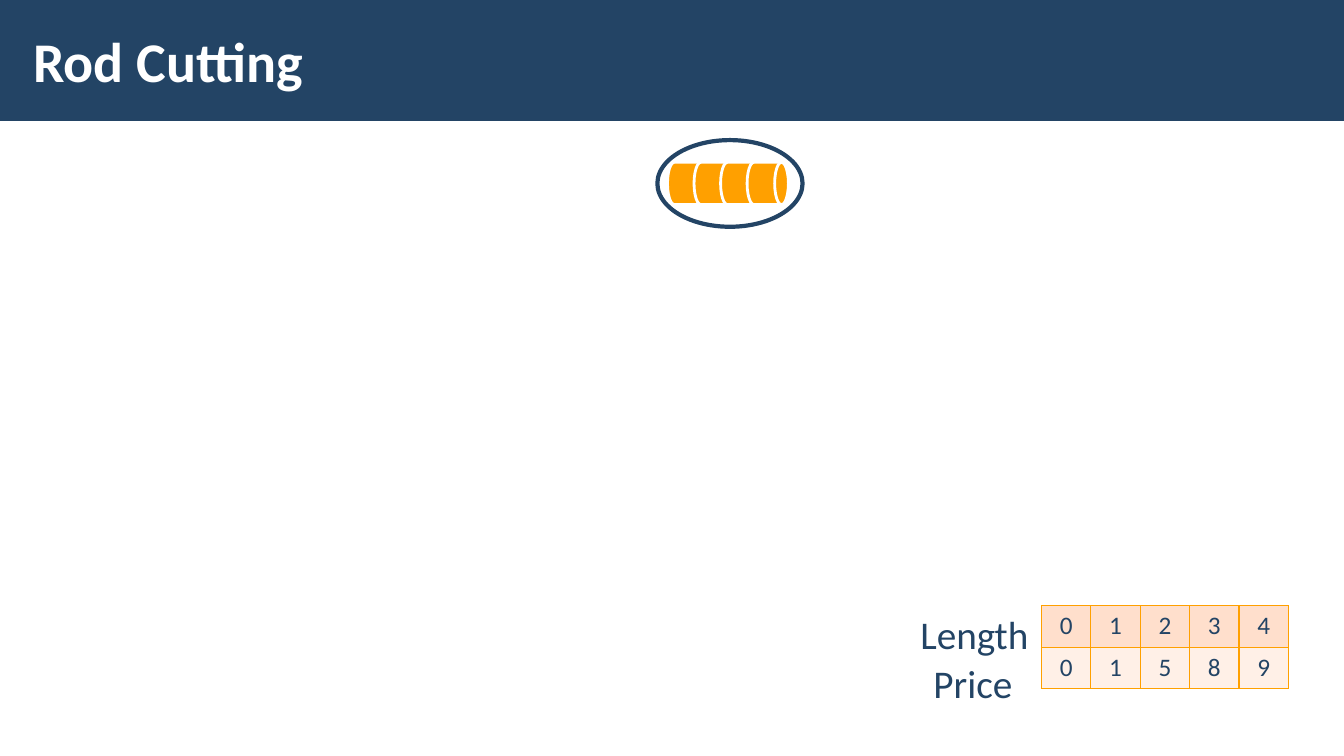
from dataclasses import dataclass

from lxml.etree import SubElement
from pptx import Presentation
from pptx.dml.color import RGBColor
from pptx.enum.shapes import MSO_SHAPE as Preset
from pptx.enum.text import MSO_ANCHOR as Anchor, PP_ALIGN as Align
from pptx.oxml.ns import qn
from pptx.shapes.autoshape import Shape
from pptx.slide import Slide
from pptx.table import _Cell as Cell
from pptx.text.text import _Paragraph as Paragraph
from pptx.util import Inches, Pt


@dataclass(frozen=True)
class Theme:
    font: str = "Calibri"
    navy: str = "234465"
    white: str = "FFFFFF"
    orange: str = "FFA000"
    length_fill: str = "FFDFCC"
    price_fill: str = "FFF0E7"
    title_size: int = 40
    label_size: int = 28
    cell_size: int = 18


@dataclass(frozen=True)
class Area:
    left: float
    top: float
    width: float
    height: float

    def lengths(self) -> tuple[Inches, ...]:
        return tuple(map(Inches, (self.left, self.top, self.width, self.height)))


@dataclass(frozen=True)
class TableRow:
    label: str
    label_area: Area
    values: tuple[int, ...]
    fill: str


THEME = Theme()
BANNER = Area(0, 0, 13.33, 1.2)
TITLE = Area(0.21, 0.11, 10.63, 0.97)
NODE = Area(6.52, 1.39, 1.44, 0.86)
ROD_LEFT, ROD_TOP = 6.62, 1.61
PIECE_WIDTH, PIECE_HEIGHT = 0.41, 0.42
PIECE_COUNT = 4
PIECE_STEP = 0.79 / (PIECE_COUNT - 1)
TABLE_LEFT, TABLE_TOP = 10.33, 6.01
COLUMN_WIDTH, ROW_HEIGHT = 0.49, 0.41
ROWS = (
    TableRow("Length", Area(9.03, 6.01, 1.28, 0.57), (0, 1, 2, 3, 4), THEME.length_fill),
    TableRow("Price", Area(9.16, 6.49, 0.99, 0.57), (0, 1, 5, 8, 9), THEME.price_fill),
)


def color(code: str) -> RGBColor:
    return RGBColor.from_string(code)


def add_span(para: Paragraph, text: str, size: int, code: str, bold: bool = False) -> None:
    span = para.add_run()
    span.text = text
    span.font.name = THEME.font
    span.font.size = Pt(size)
    span.font.bold = bold
    span.font.color.rgb = color(code)


def add_preset(slide: Slide, preset: Preset, area: Area, fill: str,
               line: str = "", line_width: float = 0) -> Shape:
    shape = slide.shapes.add_shape(preset, *area.lengths())
    shape.shadow.inherit = False
    shape.fill.solid()
    shape.fill.fore_color.rgb = color(fill)
    if line:
        shape.line.color.rgb = color(line)
        shape.line.width = Pt(line_width)
    else:
        shape.line.fill.background()
    return shape


def set_opacity(shape: Shape, percent: int) -> None:
    fill_color = shape.fill._xPr.find(qn("a:solidFill"))[0]
    SubElement(fill_color, qn("a:alpha"), val=str(percent * 1000))


def add_title(slide: Slide) -> None:
    add_preset(slide, Preset.RECTANGLE, BANNER, THEME.navy)
    frame = slide.shapes.add_textbox(*TITLE.lengths()).text_frame
    frame.word_wrap = True
    frame.vertical_anchor = Anchor.MIDDLE
    frame.margin_left = frame.margin_right = Inches(0.12)
    frame.margin_top = frame.margin_bottom = Inches(0.04)
    add_span(frame.paragraphs[0], "Rod Cutting", THEME.title_size, THEME.white, bold=True)


def add_rod(slide: Slide) -> None:
    """Draw the uncut rod as overlapping drums inside its tree node."""
    node = add_preset(slide, Preset.OVAL, NODE, THEME.white, THEME.navy, 3)
    set_opacity(node, 50)
    for index in range(PIECE_COUNT):
        piece = Area(ROD_LEFT + index * PIECE_STEP, ROD_TOP, PIECE_WIDTH, PIECE_HEIGHT)
        add_preset(slide, Preset.FLOWCHART_DIRECT_ACCESS_STORAGE, piece,
                   THEME.orange, THEME.white, 2)


def add_label(slide: Slide, text: str, area: Area) -> None:
    frame = slide.shapes.add_textbox(*area.lengths()).text_frame
    frame.word_wrap = False
    add_span(frame.paragraphs[0], text, THEME.label_size, THEME.navy)


def style_cell(cell: Cell, value: int, fill: str) -> None:
    para = cell.text_frame.paragraphs[0]
    para.alignment = Align.CENTER
    add_span(para, str(value), THEME.cell_size, THEME.navy)
    properties = cell._tc.get_or_add_tcPr()
    for side in ("a:lnL", "a:lnR", "a:lnT", "a:lnB"):
        border = SubElement(properties, qn(side), w=str(Pt(1)))
        SubElement(SubElement(border, qn("a:solidFill")), qn("a:srgbClr"), val=THEME.orange)
    cell.fill.solid()
    cell.fill.fore_color.rgb = color(fill)


def add_price_table(slide: Slide) -> None:
    column_count = len(ROWS[0].values)
    area = Area(TABLE_LEFT, TABLE_TOP, column_count * COLUMN_WIDTH, len(ROWS) * ROW_HEIGHT)
    table = slide.shapes.add_table(len(ROWS), column_count, *area.lengths()).table
    table.first_row = table.horz_banding = False
    for row_index, row in enumerate(ROWS):
        add_label(slide, row.label, row.label_area)
        for column_index, value in enumerate(row.values):
            style_cell(table.cell(row_index, column_index), value, row.fill)


def main() -> None:
    deck = Presentation()
    deck.slide_width, deck.slide_height = Inches(13.33), Inches(7.5)
    page = deck.slides.add_slide(deck.slide_layouts[6])
    add_title(page)
    add_rod(page)
    add_price_table(page)
    deck.save("out.pptx")


if __name__ == "__main__":
    main()
